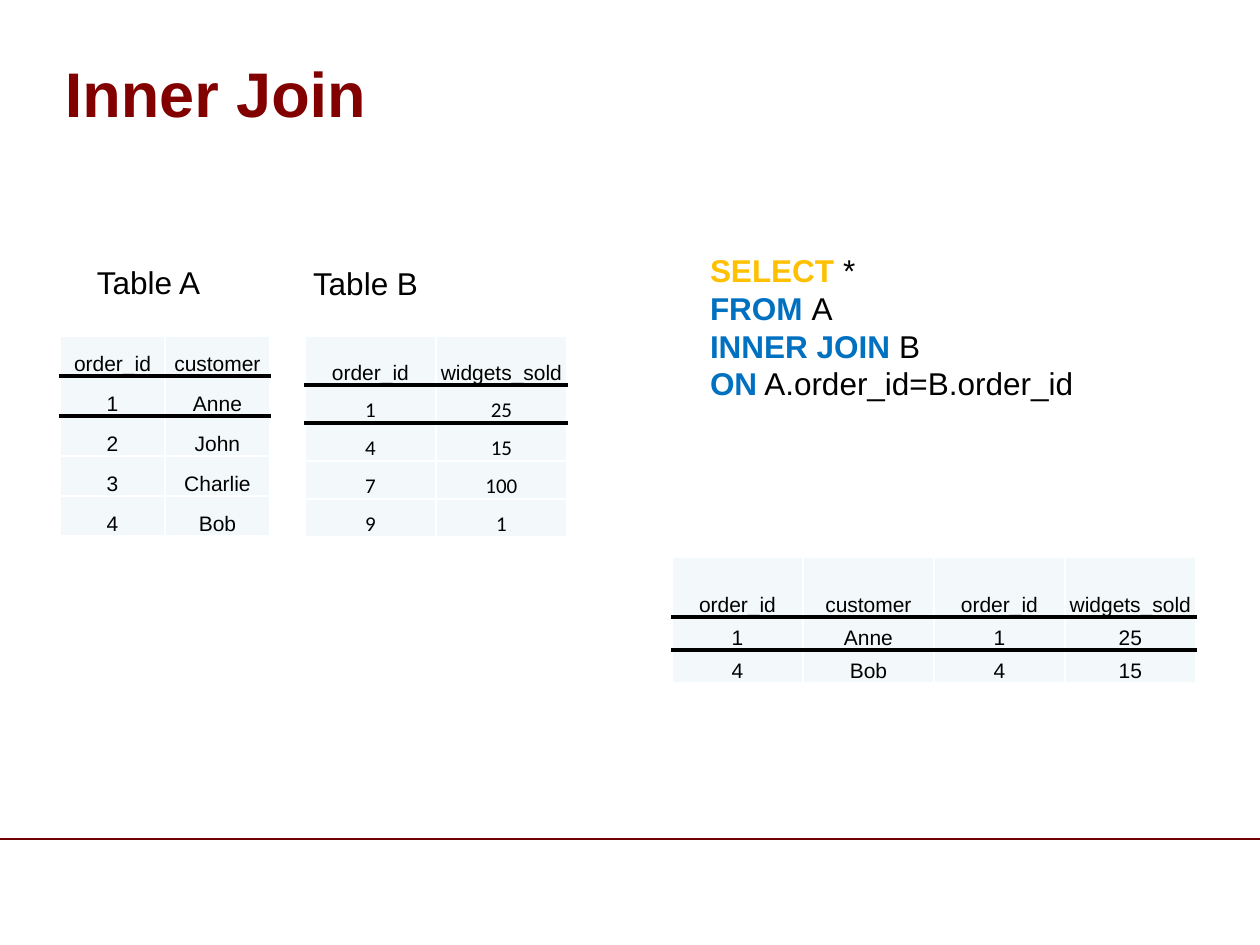
from lxml import etree
from pptx import Presentation
from pptx import util as u
from pptx.dml.color import RGBColor
from pptx.enum import shapes, text
from pptx.oxml import parse_xml
from pptx.oxml.ns import nsdecls, qn

PX = 914400 / 126
BLACK, WHITE, BLUE = "000000", "FFFFFF", "0070C0"


def tone(code):
    return RGBColor.from_string(code)


def write(frame, lines, size=18, font="Arial", align="LEFT", anchor="TOP",
          inset=(12, 6, 12, 6), wrap=False):
    frame.word_wrap = wrap
    frame.vertical_anchor = text.MSO_ANCHOR[anchor]
    for side, gap in zip(("left", "top", "right", "bottom"), inset):
        setattr(frame, "margin_" + side, int(gap * PX))
    for i, line in enumerate(lines):
        para = frame.paragraphs[0] if i == 0 else frame.add_paragraph()
        para.alignment = text.PP_ALIGN[align]
        for words, code, bold in line:
            run = para.add_run()
            run.text = words
            run.font.size = u.Pt(size)
            run.font.name = font
            run.font.bold = bold
            run.font.color.rgb = tone(code)


deck = Presentation()
deck.slide_width, deck.slide_height = u.Inches(10), u.Inches(7.5)
slide = deck.slides.add_slide(deck.slide_layouts[6])

level = int(839 * PX)
rule = slide.shapes.add_connector(shapes.MSO_CONNECTOR.STRAIGHT, 0, level, deck.slide_width, level)
rule.line.color.rgb = tone("6E0000")
rule.line.width = u.Pt(0.75)
etree.SubElement(rule._element.spPr, qn("a:effectLst"))

query = [
    [("SELECT ", "FFC000", True), ("*", BLACK, False)],
    [("FROM ", BLUE, True), ("A", BLACK, False)],
    [("INNER JOIN", BLUE, True), (" B", BLACK, False)],
    [("ON", BLUE, True), (" A.order_id=B.order_id", BLACK, False)],
]
boxes = [
    ((53, 40, 1144, 105), [[("Inner Join", "820000", True)]],
     dict(size=36, anchor="MIDDLE", wrap=True)),
    ((85, 257, 134, 50), [[("Table A", BLACK, False)]], {}),
    ((301, 258, 134, 50), [[("Table B", BLACK, False)]], {}),
    ((698, 245, 394, 165), query, {}),
]
for place, lines, style in boxes:
    box = slide.shapes.add_textbox(*[int(n * PX) for n in place])
    write(box.text_frame, lines, **style)

tables = [
    (60, 336, 105, [40] * 5, "Arial",
     [("order_id", "customer"), ("1", "Anne"), ("2", "John"), ("3", "Charlie"), ("4", "Bob")]),
    (305, 336, 131, [49] + [38] * 4, "Calibri",
     [("order_id", "widgets_sold"), ("1", "25"), ("4", "15"), ("7", "100"), ("9", "1")]),
    (672, 557, 131, [60, 33, 33], "Arial",
     [("order_id", "customer", "order_id", "widgets_sold"),
      ("1", "Anne", "1", "25"), ("4", "Bob", "4", "15")]),
]
for left, top, wide, highs, font, rows in tables:
    count = len(rows[0])
    size = (left, top, wide * count, sum(highs))
    grid = slide.shapes.add_table(len(rows), count, *[int(n * PX) for n in size]).table
    grid.first_row = grid.horz_banding = False
    for col in grid.columns:
        col.width = int(wide * PX)
    for r, row in enumerate(rows):
        grid.rows[r].height = int(highs[r] * PX)
        for c, words in enumerate(row):
            cell = grid.cell(r, c)
            write(cell.text_frame, [[(words, BLACK, False)]], size=12,
                  font=font if r else "Arial", align="CENTER", wrap=True)
            cell.vertical_anchor = text.MSO_ANCHOR.BOTTOM
            cell.margin_left = cell.margin_right = cell.margin_top = int(PX)
            cell.margin_bottom = 0
            props = cell._tc.get_or_add_tcPr()
            dark = {"T": r in (1, 2), "B": r < 2}
            for side in "LRTB":
                code, width = (BLACK, 2.25) if dark.get(side) else (WHITE, 1)
                props.append(parse_xml(
                    f'<a:ln{side} {nsdecls("a")} w="{u.Pt(width)}"><a:solidFill>'
                    f'<a:srgbClr val="{code}"/></a:solidFill></a:ln{side}>'))
            cell.fill.solid()
            cell.fill.fore_color.rgb = tone("F3F9FA")

deck.save("out.pptx")
